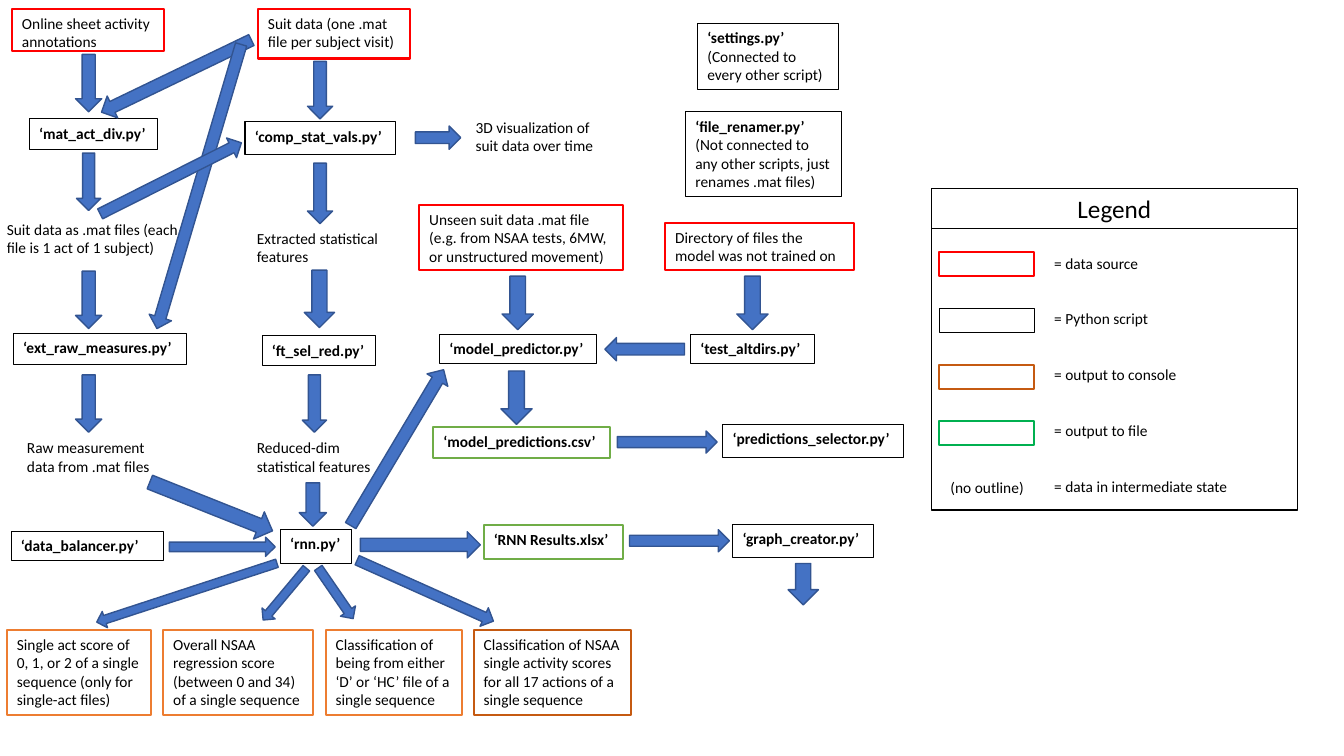
from pptx import Presentation
from pptx import util as u
from pptx.dml import color
from pptx.enum import shapes, text

COLORS = {
    "source": "FF0000", "script": "000000", "console": "ED7D31",
    "classification": "C55A11", "file": "70AD47", "legend file": "00B050",
    "text": "000000", "arrow": "4472C4", "arrow edge": "325491", "white": "FFFFFF",
}
KIND = shapes.MSO_SHAPE

presentation = Presentation()
presentation.slide_width = u.Pt(960)
presentation.slide_height = u.Pt(540)
slide = presentation.slides.add_slide(presentation.slide_layouts[6])


def draw(kind, bounds, fill=None, line=None, weight=1.0):
    shape = slide.shapes.add_shape(kind, *[u.Pt(length) for length in bounds])
    shape.shadow.inherit = False
    if fill:
        shape.fill.solid()
        shape.fill.fore_color.rgb = color.RGBColor.from_string(COLORS[fill])
    else:
        shape.fill.background()
    if line:
        shape.line.color.rgb = color.RGBColor.from_string(COLORS[line])
        shape.line.width = u.Pt(weight)
    else:
        shape.line.fill.background()
    return shape


def write(shape, lines, size=11, align=text.PP_ALIGN.LEFT, gap=0):
    frame = shape.text_frame
    frame.word_wrap = True
    frame.vertical_anchor = text.MSO_ANCHOR.TOP
    for index, line in enumerate(lines):
        paragraph = frame.add_paragraph() if index else frame.paragraphs[0]
        paragraph.text = line
        paragraph.alignment = align
        paragraph.space_before = u.Pt(gap if index else 0)
        paragraph.font.name = "Calibri"
        paragraph.font.size = u.Pt(size)
        paragraph.font.bold = line.startswith("‘")
        paragraph.font.color.rgb = color.RGBColor.from_string(COLORS["text"])


boxes = [
    ("source", (8.6, 6.5, 108.7, 30.2), "Online sheet activity annotations"),
    ("source", (184.3, 6.5, 108.7, 35.3), "Suit data (one .mat file per subject visit)"),
    ("source", (299.5, 146.2, 145.4, 46.8),
     "Unseen suit data .mat file (e.g. from NSAA tests, 6MW, or unstructured movement)"),
    ("source", (475.2, 159.1, 134.6, 33.8), "Directory of files the model was not trained on"),
    ("script", (498.2, 16.6, 100.8, 47.5), "‘settings.py’\n(Connected to every other script)"),
    ("script", (489.6, 79.9, 111.6, 60.5),
     "‘file_renamer.py’\n(Not connected to any other scripts, just renames .mat files)"),
    ("script", (20.9, 85, 91.4, 21.6), "‘mat_act_div.py’"),
    ("script", (175, 87.1, 107.3, 23), "‘comp_stat_vals.py’"),
    ("script", (9.4, 238.3, 123.8, 22.3), "‘ext_raw_measures.py’"),
    ("script", (187.2, 239.8, 81.4, 21.6), "‘ft_sel_red.py’"),
    ("script", (313.9, 239, 112.3, 20.9), "‘model_predictor.py’"),
    ("script", (493.2, 239, 88.6, 20.9), "‘test_altdirs.py’"),
    ("script", (516.2, 303.1, 128.9, 23.8), "‘predictions_selector.py’"),
    ("script", (7.9, 379.4, 108.7, 20.9), "‘data_balancer.py’"),
    ("script", (200.2, 378, 51.1, 24.5), "‘rnn.py’"),
    ("script", (523.4, 374.4, 100.8, 23.8), "‘graph_creator.py’"),
    ("file", (309.6, 305.3, 126, 21.6), "‘model_predictions.csv’"),
    ("file", (345.6, 375.1, 99.4, 24.5), "‘RNN Results.xlsx’"),
    ("console", (5, 450, 103, 60.5),
     "Single act score of 0, 1, or 2 of a single sequence (only for single-act files)"),
    ("console", (116.6, 450, 107.3, 60.5),
     "Overall NSAA regression score (between 0 and 34) of a single sequence"),
    ("console", (232.6, 450, 97.2, 60.5),
     "Classification of being from either ‘D’ or ‘HC’ file of a single sequence"),
    ("classification", (338.4, 450, 112.3, 60.5),
     "Classification of NSAA single activity scores for all 17 actions of a single sequence"),
    (None, (-2.2, 153.4, 141.1, 33.8), "Suit data as .mat files (each file is 1 act of 1 subject)"),
    (None, (12.2, 309.6, 103, 37.4), "Raw measurement data from .mat files"),
    (None, (176.4, 159.8, 104.4, 32.4), "Extracted statistical features"),
    (None, (176.4, 309.6, 97.2, 33.1), "Reduced-dim statistical features"),
    (None, (332.6, 80.6, 100.8, 34.6), "3D visualization of suit data over time"),
]
for outline, bounds, wording in boxes:
    box = draw(KIND.RECTANGLE, bounds, line=outline, weight=0.75 if outline == "script" else 1.5)
    write(box, wording.split("\n"))

down_arrows = [
    (54, 38.9, 18.7, 41, 0),
    (54.7, 109.4, 17.3, 41, 0),
    (54, 193.7, 18.7, 41, 0),
    (54, 267.8, 18.7, 41, 0),
    (219.6, 43.9, 18, 41, 0),
    (219.6, 116.6, 18, 43.2, 0),
    (217.4, 193, 21.6, 41, 0),
    (216, 267.8, 17.3, 41, 0),
    (213.8, 344.9, 19.4, 31, 0),
    (358.6, 197.3, 22.3, 38.2, 0),
    (357.8, 265, 22.3, 38.2, 0),
    (526.3, 197.3, 22.3, 38.2, 0),
    (563, 402.5, 21.6, 29.5, 0),
    (127.4, 355.7, 12.2, 135.4, 71.9),
    (197.3, 400.3, 12.2, 48.2, 39.9),
    (233.3, 401.8, 13, 43.9, 325.5),
    (296.6, 368.6, 14.4, 106.6, 294.1),
    (117.4, -5, 17.3, 118.8, 64.3),
    (133.9, 27.4, 16.6, 211.7, 16.5),
    (140.4, 314.6, 20.9, 94.3, 291.7),
    (275, 254.9, 17.3, 129.6, 210.8),
    (304.6, 82.1, 16.6, 32.4, 270),
    (290.9, 346.3, 18.7, 85.7, 270),
    (477.4, 350.6, 15.8, 71.3, 270),
    (468.7, 280.1, 15.8, 71.3, 270),
    (151.9, 352.8, 13.7, 75.6, 270),
    (452.2, 221, 16.6, 56.9, 90),
]
for *bounds, angle in down_arrows:
    draw(KIND.DOWN_ARROW, bounds, "arrow", "arrow edge").rotation = angle
draw(KIND.RIGHT_ARROW, (65.5, 119.5, 113, 15.8), "arrow", "arrow edge").rotation = 333.3

draw(KIND.RECTANGLE, (665.3, 134.6, 261.4, 229.7), "white", "script")
legend_title = draw(KIND.RECTANGLE, (665.3, 134.6, 261.4, 28.8), line="script", weight=0.75)
write(legend_title, ["Legend"], 18, text.PP_ALIGN.CENTER)
for row, outline in enumerate(["source", "script", "classification", "legend file"]):
    draw(KIND.RECTANGLE, (671, 180 + 40.3 * row, 67.7, 17.3), line=outline,
         weight=0.75 if outline == "script" else 1.5)

legend_texts = [
    ((671.8, 337.7, 67.7, 20.9), ["(no outline)"]),
    ((745.9, 177.8, 167, 180.7),
     ["= data source", "= Python script", "= output to console", "= output to file",
      "= data in intermediate state"]),
]
for bounds, lines in legend_texts:
    label = slide.shapes.add_textbox(*[u.Pt(length) for length in bounds])
    write(label, lines, gap=26.6)

presentation.save("out.pptx")
